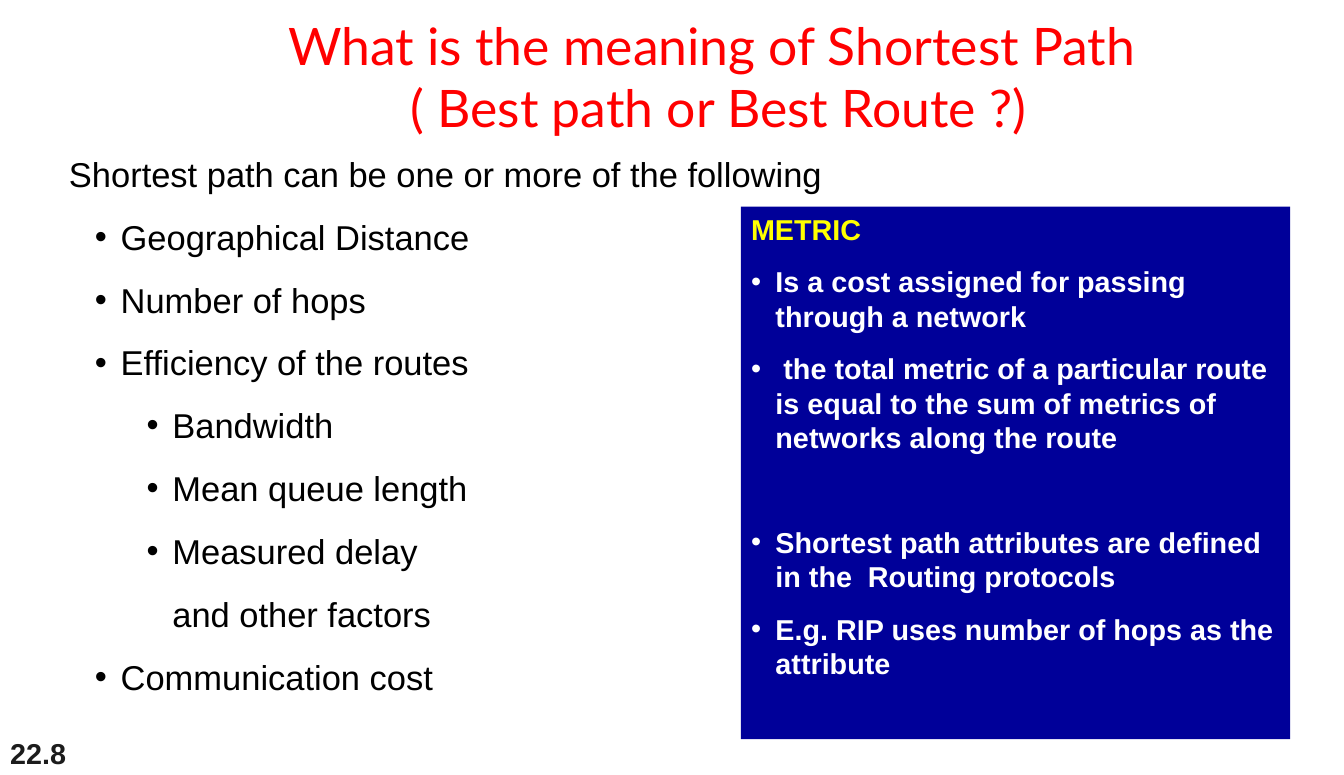
from dataclasses import dataclass

from lxml.etree import SubElement
from pptx import Presentation
from pptx.dml.color import RGBColor as RGB
from pptx.enum.shapes import MSO_SHAPE as Shape
from pptx.enum.text import MSO_ANCHOR as Anchor, PP_ALIGN as Align
from pptx.oxml.ns import qn
from pptx.util import Pt


@dataclass(frozen=True)
class Theme:
    white: str = "FFFFFF"
    black: str = "000000"
    red: str = "FF0000"
    yellow: str = "FFFF00"
    navy: str = "000099"
    charcoal: str = "1C1C1C"
    heading_font: str = "Lato"
    body_font: str = "Arial"
    title_size: int = 36
    list_size: int = 24
    panel_size: int = 20


class SlideBuilder:
    def __init__(self, slide, theme):
        self.slide = slide
        self.theme = theme

    def _prepare(self, shape, anchor):
        frame = shape.text_frame
        frame.word_wrap = True
        frame.vertical_anchor = anchor
        return frame

    def text_box(self, x, y, w, h, anchor=Anchor.TOP):
        box = self.slide.shapes.add_textbox(Pt(x), Pt(y), Pt(w), Pt(h))
        return self._prepare(box, anchor)

    def panel(self, x, y, w, h, fill):
        shape = self.slide.shapes.add_shape(
            Shape.RECTANGLE, Pt(x), Pt(y), Pt(w), Pt(h))
        shape.shadow.inherit = False
        shape.fill.solid()
        shape.fill.fore_color.rgb = RGB.from_string(fill)
        shape.line.fill.background()
        return self._prepare(shape, Anchor.TOP)

    def paragraph(self, frame, text, size, color, bold=False, font=None,
                  before=0, margin=0, hanging=0, level=0, bullet=False,
                  align=Align.LEFT):
        first = not frame.paragraphs[0].text
        para = frame.paragraphs[0] if first else frame.add_paragraph()
        para.text = text
        para.alignment = align
        para.level = level
        para.space_before = Pt(0 if first else before)
        props = para._p.get_or_add_pPr()
        props.set("marL", str(Pt(margin)))
        props.set("indent", str(-Pt(hanging)))
        if bullet:
            bullet_color = SubElement(props, qn("a:buClr"))
            SubElement(bullet_color, qn("a:srgbClr"), val=color)
            SubElement(props, qn("a:buFont"), typeface=self.theme.body_font)
            SubElement(props, qn("a:buChar"), char="•")
        else:
            SubElement(props, qn("a:buNone"))
        para.font.name = font or self.theme.body_font
        para.font.size = Pt(size)
        para.font.bold = bold
        para.font.color.rgb = RGB.from_string(color)


def main():
    theme = Theme()
    deck = Presentation()
    deck.slide_width, deck.slide_height = Pt(936), Pt(540)
    builder = SlideBuilder(deck.slides.add_slide(deck.slide_layouts[6]), theme)

    # Page number
    page_number = builder.text_box(0, 504, 195, 36, Anchor.BOTTOM)
    builder.paragraph(page_number, "22.8", theme.panel_size, theme.charcoal,
                      bold=True)

    # Title
    title = builder.panel(0, 6, 991.5, 90, theme.white)
    builder.paragraph(
        title,
        "What is the meaning of Shortest Path\v ( Best path or Best Route ?)",
        theme.title_size, theme.red, font=theme.heading_font,
        align=Align.CENTER)

    # Path criteria: text, level, bullet
    criteria = [
        ("Shortest path can be one or more of the following", 0, False),
        ("Geographical Distance", 1, True),
        ("Number of hops", 1, True),
        ("Efficiency of the routes", 1, True),
        ("Bandwidth", 2, True),
        ("Mean queue length", 2, True),
        ("Measured delay", 2, True),
        ("and other factors", 2, False),
        ("Communication cost", 1, True),
    ]
    criteria_list = builder.text_box(41, 103, 809, 474.5)
    for text, level, bullet in criteria:
        builder.paragraph(criteria_list, text, theme.list_size, theme.black,
                          before=15, margin=36 * level, level=level,
                          hanging=18 if bullet else 0, bullet=bullet)

    # Metric panel: text, space before
    gap, wide_gap = 12.5, 49
    metric_points = [
        ("Is a cost assigned for passing through a network", gap),
        (" the total metric of a particular route is equal to the sum of "
         "metrics of networks along the route", gap),
        ("Shortest path attributes are defined in the  Routing protocols",
         wide_gap),
        ("E.g. RIP uses number of hops as the attribute", gap),
    ]
    metric = builder.panel(516, 144, 382.5, 371, theme.navy)
    builder.paragraph(metric, "METRIC", theme.panel_size, theme.yellow,
                      bold=True)
    for text, before in metric_points:
        builder.paragraph(metric, text, theme.panel_size, theme.white,
                          bold=True, before=before, margin=17, hanging=17,
                          bullet=True)

    deck.save("out.pptx")


if __name__ == "__main__":
    main()
